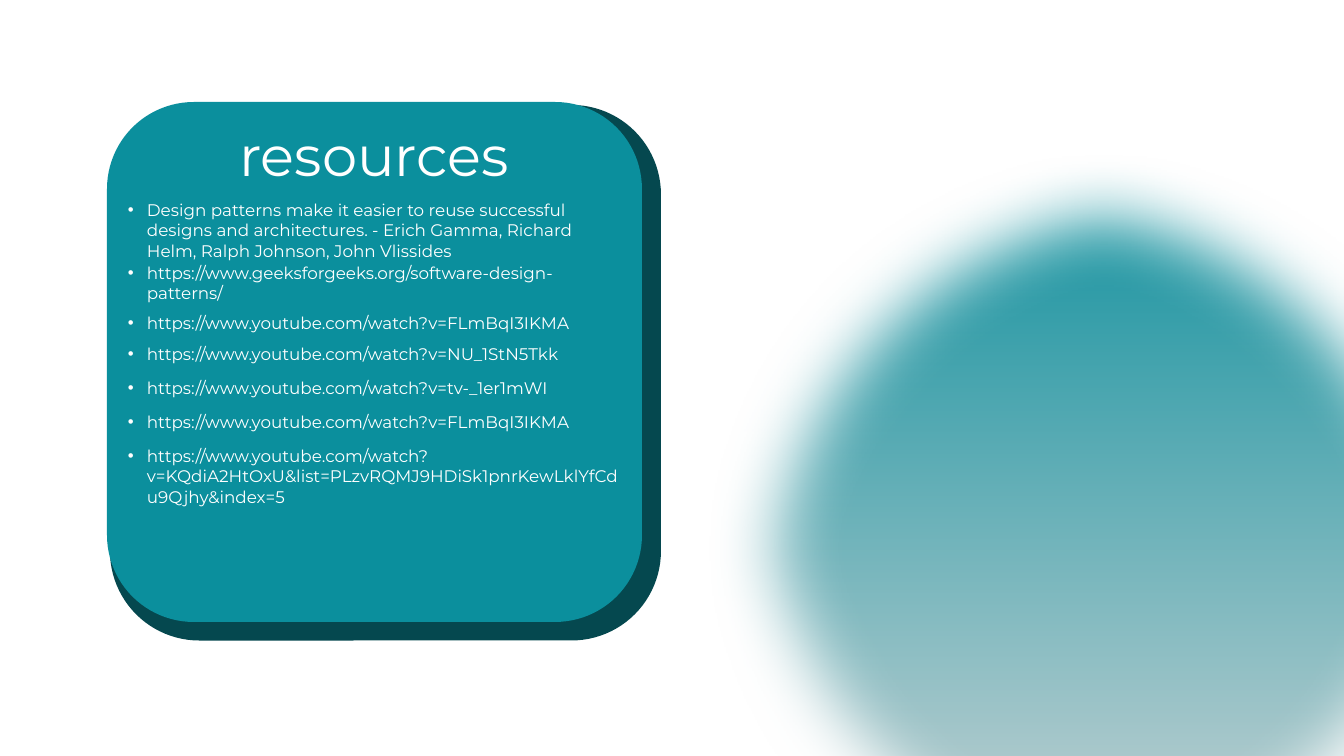
from dataclasses import dataclass

import lxml.etree
import pptx
import pptx.dml.color
import pptx.enum.shapes
import pptx.enum.text
import pptx.oxml.ns
import pptx.util

EMU_PER_PX = 914400 / 100.8
FONT = "Montserrat"
TEAL, DARK_TEAL, GREY, WHITE = "0B8F9D", "05484F", "D9D9D9", "FFFFFF"
LIST_LEFT, LIST_WIDTH, BULLET_INDENT = 118, 514, 19


@dataclass
class Resource:
    top: int
    height: int
    text: str


RESOURCES = [
    Resource(195, 71, "Design patterns make it easier to reuse successful designs and "
             "architectures. - Erich Gamma, Richard Helm, Ralph Johnson, John Vlissides"),
    Resource(258, 50, "https://www.geeksforgeeks.org/software-design-patterns/"),
    Resource(308, 30, "https://www.youtube.com/watch?v=FLmBqI3IKMA"),
    Resource(339, 30, "https://www.youtube.com/watch?v=NU_1StN5Tkk"),
    Resource(373, 30, "https://www.youtube.com/watch?v=tv-_1er1mWI"),
    Resource(407, 30, "https://www.youtube.com/watch?v=FLmBqI3IKMA"),
    Resource(441, 50, "https://www.youtube.com/watch?v=KQdiA2HtOxU"
             "&list=PLzvRQMJ9HDiSk1pnrKewLklYfCdu9Qjhy&index=5"),
]


def px(length: int) -> pptx.util.Emu:
    return pptx.util.Emu(round(length * EMU_PER_PX))


def colour(value: str) -> pptx.dml.color.RGBColor:
    return pptx.dml.color.RGBColor.from_string(value)


def add_plain_shape(page, kind, left: int, top: int, width: int, height: int):
    shape = page.shapes.add_shape(kind, px(left), px(top), px(width), px(height))
    shape.shadow.inherit = False
    shape.line.fill.background()
    return shape


def add_effect(shape, name: str, **attributes: str):
    effects = shape.element.spPr.find(pptx.oxml.ns.qn("a:effectLst"))
    return lxml.etree.SubElement(effects, pptx.oxml.ns.qn(name), attributes)


def style_text(frame, size: int) -> None:
    frame.word_wrap = True
    frame.auto_size = pptx.enum.text.MSO_AUTO_SIZE.SHAPE_TO_FIT_TEXT
    frame.vertical_anchor = pptx.enum.text.MSO_ANCHOR.TOP
    font = frame.paragraphs[0].font
    font.name, font.size = FONT, pptx.util.Pt(size)
    font.color.rgb = colour(WHITE)


def add_bullet(para) -> None:
    properties = para._p.get_or_add_pPr()
    properties.set("marL", str(px(BULLET_INDENT)))
    properties.set("indent", str(-px(BULLET_INDENT)))
    qn = pptx.oxml.ns.qn
    lxml.etree.SubElement(properties, qn("a:buFont"), typeface="Arial")
    lxml.etree.SubElement(properties, qn("a:buChar"), char="•")


def add_circle(page) -> None:
    circle = add_plain_shape(page, pptx.enum.shapes.MSO_SHAPE.OVAL, 702, 146, 806, 806)
    circle.fill.gradient()
    circle.fill.gradient_angle = 270
    for stop, (position, value) in zip(circle.fill.gradient_stops, [(0, TEAL), (0.99, GREY)]):
        stop.position = position
        stop.color.rgb = colour(value)
    add_effect(circle, "a:softEdge", rad=str(pptx.util.Pt(50)))


def add_card(page):
    card = add_plain_shape(page, pptx.enum.shapes.MSO_SHAPE.ROUNDED_RECTANGLE,
                           107, 102, 535, 520)
    card.adjustments[0] = 0.167
    card.fill.solid()
    card.fill.fore_color.rgb = colour(TEAL)
    shadow = add_effect(card, "a:outerShdw", dist=str(pptx.util.Pt(3)), dir="2700000",
                        sx="103000", sy="103000", algn="tl", rotWithShape="0")
    lxml.etree.SubElement(shadow, pptx.oxml.ns.qn("a:srgbClr"), val=DARK_TEAL)
    return card


def place_title(page, card) -> None:
    title = page.shapes.title
    title.left, title.top, title.width, title.height = px(151), px(115), px(446), px(78)
    title.text_frame.text = "resources"
    title.text_frame.paragraphs[0].alignment = pptx.enum.text.PP_ALIGN.CENTER
    style_text(title.text_frame, 40)
    card.element.addnext(title.element)  # bring the title in front of the card


def add_resource(page, resource: Resource) -> None:
    box = page.shapes.add_textbox(px(LIST_LEFT), px(resource.top),
                                  px(LIST_WIDTH), px(resource.height))
    box.text_frame.text = resource.text
    add_bullet(box.text_frame.paragraphs[0])
    style_text(box.text_frame, 12)


def main() -> None:
    deck = pptx.Presentation()
    deck.slide_width, deck.slide_height = px(1344), px(756)
    page = deck.slides.add_slide(deck.slide_layouts.get_by_name("Title Only"))
    page.background.fill.solid()
    page.background.fill.fore_color.rgb = colour(WHITE)

    # Backdrop and card
    add_circle(page)
    card = add_card(page)

    # Title and list of resources
    place_title(page, card)
    for resource in RESOURCES:
        add_resource(page, resource)

    deck.save("out.pptx")


if __name__ == "__main__":
    main()
